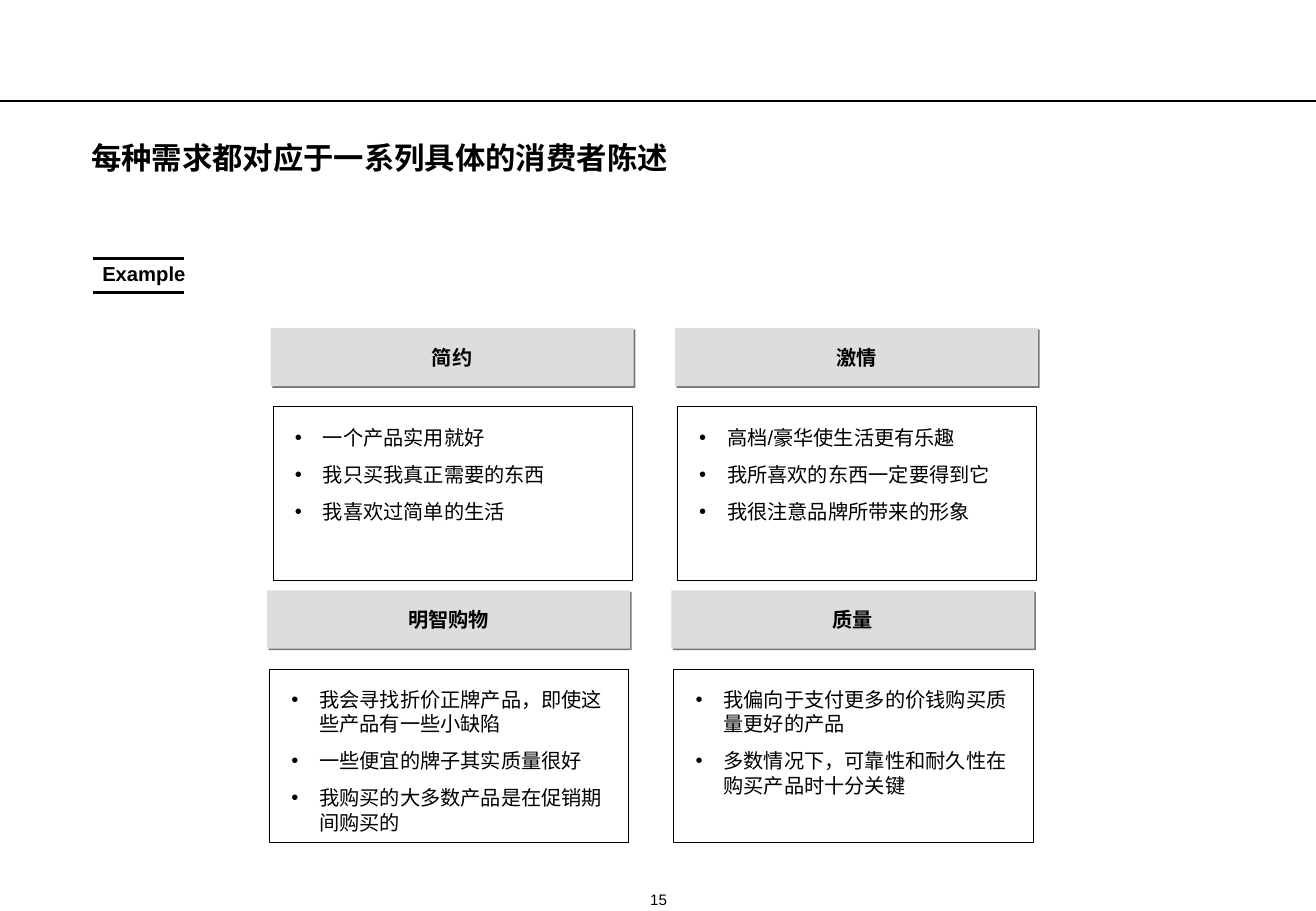
from lxml import etree
from pptx import Presentation
from pptx.dml.color import RGBColor
from pptx.enum.shapes import MSO_CONNECTOR, MSO_SHAPE
from pptx.enum.text import MSO_ANCHOR, MSO_AUTO_SIZE, PP_ALIGN
from pptx.oxml.ns import qn
from pptx.util import Inches, Pt

LEFT, CENTER = PP_ALIGN.LEFT, PP_ALIGN.CENTER
TOP, MIDDLE, BOTTOM = MSO_ANCHOR.TOP, MSO_ANCHOR.MIDDLE, MSO_ANCHOR.BOTTOM
NO_AUTOFIT = MSO_AUTO_SIZE.NONE
RECTANGLE, STRAIGHT = MSO_SHAPE.RECTANGLE, MSO_CONNECTOR.STRAIGHT

COLORS = {"ink": "000000", "paper": "FFFFFF", "header": "DDDDDD", "shadow": "777777"}
FONT = "Arial"

NEEDS = [
    [
        ("简约", ["一个产品实用就好", "我只买我真正需要的东西", "我喜欢过简单的生活"]),
        ("激情", ["高档/豪华使生活更有乐趣", "我所喜欢的东西一定要得到它", "我很注意品牌所带来的形象"]),
    ],
    [
        ("明智购物", ["我会寻找折价正牌产品，即使这些产品有一些小缺陷",
                  "一些便宜的牌子其实质量很好",
                  "我购买的大多数产品是在促销期间购买的"]),
        ("质量", ["我偏向于支付更多的价钱购买质量更好的产品",
                "多数情况下，可靠性和耐久性在购买产品时十分关键"]),
    ],
]


def color(name):
    return RGBColor.from_string(COLORS[name])


class NeedsSlide:
    def __init__(self, deck):
        self.slide = deck.slides.add_slide(deck.slide_layouts[5])

    def prepare(self, frame, anchor):
        frame.margin_left = frame.margin_right = 0
        frame.margin_top = frame.margin_bottom = 0
        frame.word_wrap = True
        frame.auto_size = NO_AUTOFIT
        frame.vertical_anchor = anchor

    def add_words(self, paragraph, words, size, bold, align):
        paragraph.alignment = align
        run = paragraph.add_run()
        run.text = words
        run.font.name = FONT
        run.font.size = Pt(size)
        run.font.bold = bold
        run.font.color.rgb = color("ink")
        east_asian = etree.SubElement(run.font._element, qn("a:ea"))
        east_asian.set("typeface", FONT)

    def title(self, words, x, y, w, h):
        heading = self.slide.shapes.title
        heading.left, heading.top = Inches(x), Inches(y)
        heading.width, heading.height = Inches(w), Inches(h)
        self.prepare(heading.text_frame, TOP)
        paragraph = heading.text_frame.paragraphs[0]
        paragraph.line_spacing = Pt(20)
        self.add_words(paragraph, words, 18, True, LEFT)

    def label(self, words, x, y, w, h, size=12, bold=True, anchor=TOP):
        frame = self.slide.shapes.add_textbox(
            Inches(x), Inches(y), Inches(w), Inches(h)).text_frame
        self.prepare(frame, anchor)
        self.add_words(frame.paragraphs[0], words, size, bold, CENTER)

    def bullets(self, statements, x, y, w, h):
        frame = self.slide.shapes.add_textbox(
            Inches(x), Inches(y), Inches(w), Inches(h)).text_frame
        self.prepare(frame, TOP)
        for index, statement in enumerate(statements):
            paragraph = frame.add_paragraph() if index else frame.paragraphs[0]
            properties = paragraph._p.get_or_add_pPr()
            properties.set("marL", str(Inches(0.23)))
            properties.set("indent", str(-Inches(0.23)))
            etree.SubElement(properties, qn("a:buFont")).set("typeface", FONT)
            etree.SubElement(properties, qn("a:buChar")).set("char", "•")
            if index:
                paragraph.space_before = Pt(7.5)
            self.add_words(paragraph, statement, 12, False, LEFT)

    def rule(self, x, y, length, width):
        line = self.slide.shapes.add_connector(
            STRAIGHT, Inches(x), Inches(y), Inches(x + length), Inches(y))
        line.line.color.rgb = color("ink")
        line.line.width = Pt(width)
        etree.SubElement(line._element.spPr, qn("a:effectLst"))

    def panel(self, x, y, w, h, fill):
        panel = self.slide.shapes.add_shape(
            RECTANGLE, Inches(x), Inches(y), Inches(w), Inches(h))
        panel.shadow.inherit = False
        panel.fill.solid()
        panel.fill.fore_color.rgb = color(fill)
        return panel

    def header(self, words, x, y):
        band = self.panel(x, y, 2.99, 0.48, "header")
        band.line.fill.background()
        effects = band._element.spPr.find(qn("a:effectLst"))
        shadow = etree.SubElement(effects, qn("a:outerShdw"), blurRad="0",
                                  dist=str(Pt(1.4)), dir="2700000", algn="ctr",
                                  rotWithShape="0")
        etree.SubElement(shadow, qn("a:srgbClr")).set("val", COLORS["shadow"])
        self.label(words, x + 0.22, y + 0.14, 2.55, 0.2, anchor=MIDDLE)

    def need(self, name, statements, x, y):
        self.header(name, x, y)
        body = self.panel(x + 0.02, y + 0.65, 2.96, 1.43, "paper")
        body.line.color.rgb = color("ink")
        body.line.width = Pt(0.5)
        self.bullets(statements, x + 0.2, y + 0.8, 2.67, 1.2)


def main():
    deck = Presentation()
    deck.slide_width, deck.slide_height = Inches(10.84), Inches(7.5)
    page = NeedsSlide(deck)
    page.label("15", 5.14, 7.33, 0.57, 0.15, size=9, bold=False, anchor=BOTTOM)
    page.rule(0, 0.83, 10.84, 1.5)
    page.title("每种需求都对应于一系列具体的消费者陈述", 0.75, 1.17, 9.33, 0.28)
    for y in (2.13, 2.41):
        page.rule(0.77, y, 0.75, 2)
    page.label("Example", 0.84, 2.15, 0.69, 0.2)
    for row, needs in enumerate(NEEDS):
        for column, (name, statements) in enumerate(needs):
            page.need(name, statements, 2.23 + 3.33 * column - 0.03 * row, 2.7 + 2.16 * row)
    deck.save("out.pptx")


if __name__ == "__main__":
    main()
